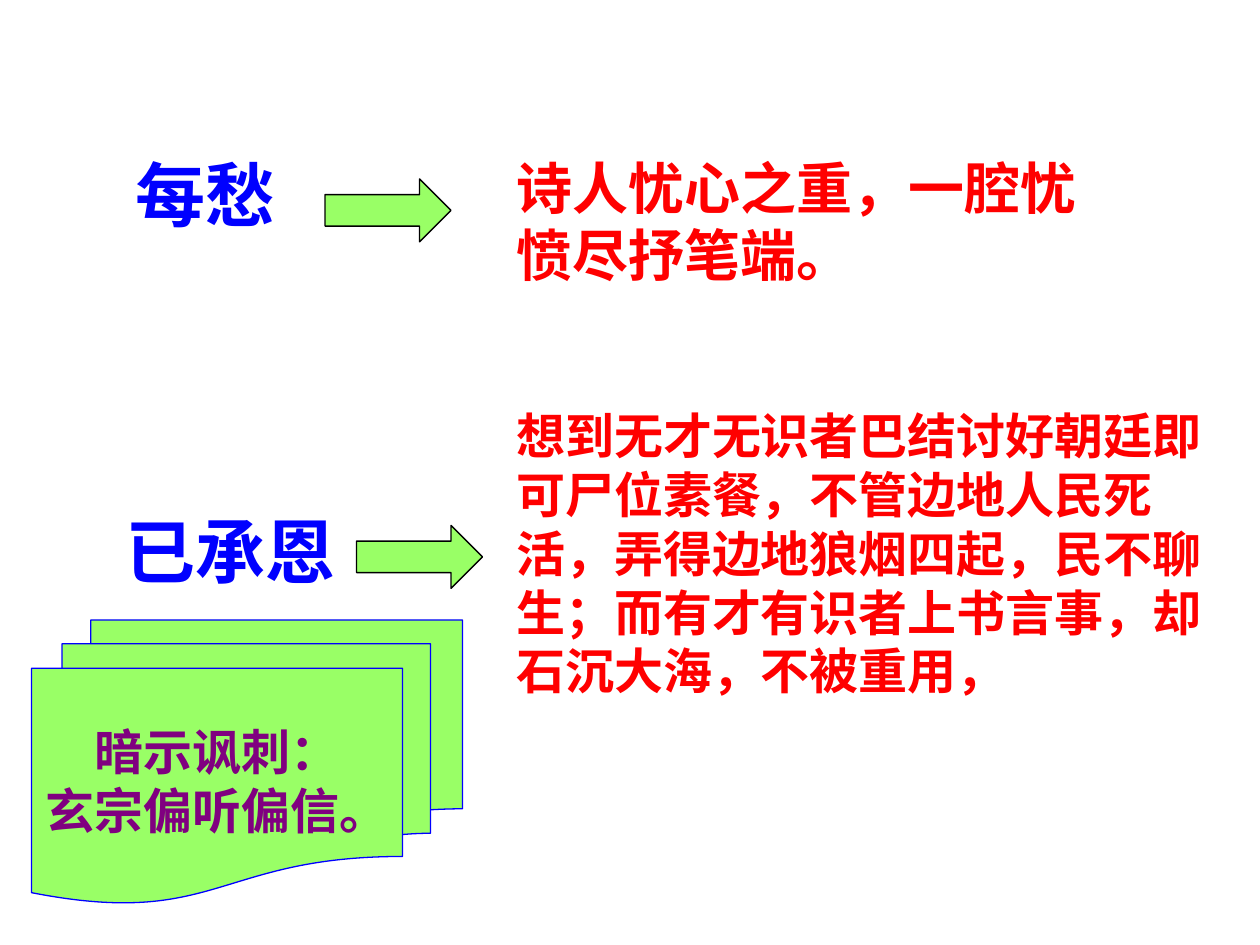
"""Build a slide explaining two phrases of a poem and their implied satire."""
import dataclasses

import lxml.etree
import pptx
import pptx.dml.color
import pptx.enum.shapes
import pptx.enum.text
import pptx.oxml.ns
import pptx.util


@dataclasses.dataclass(frozen=True)
class Theme:
    """Hold the colours, fonts and type sizes of the slide."""
    blue: str = "0000FF"
    red: str = "FF0000"
    purple: str = "800080"
    green: str = "99FF66"
    black: str = "000000"
    latin: str = "Arial"
    chinese: str = "Noto Sans CJK SC"
    term: int = 40
    comment: int = 32
    detail: int = 28


THEME = Theme()
SHAPES = pptx.enum.shapes.MSO_SHAPE
WIDTH, HEIGHT = 10, 7.5
ARROW_WIDTH, ARROW_HEIGHT = 1, 0.5
COMMENT_LEFT = 4

TERMS = [
    ("每愁", (0.98, 1.15, 1.42, 0.77), (2.58, 1.42)),
    ("已承恩", (0.9, 3.99, 2.05, 0.77), (2.83, 4.17)),
]
COMMENTS = [
    (["诗人忧心之重，", "一腔忧愤尽抒笔端。"],
     (COMMENT_LEFT, 1.17, 4.92, 1.88), THEME.comment),
    (["想到无才无识者巴结讨好朝廷即可尸位素餐，不管边地人民死活，"
      "弄得边地狼烟四起，民不聊生；而有才有识者上书言事，却石沉大海，不被重用，"],
     (COMMENT_LEFT, 3.17, 5.67, 2.44), THEME.detail),
]
SATIRE = ["暗示讽刺：", "玄宗偏听偏信。"]
SATIRE_PLACE = (0.25, 4.92, 3.42, 2.25)


def inches(place):
    """Convert a tuple of inches to lengths."""
    return [pptx.util.Inches(value) for value in place]


def rgb(colour):
    """Convert a hexadecimal string to a colour."""
    return pptx.dml.color.RGBColor.from_string(colour)


def add_span(para, text, size, colour):
    """Add one bold run with its Latin and Chinese fonts."""
    span = para.add_run()
    span.text = text
    span.font.size = pptx.util.Pt(size)
    span.font.bold = True
    span.font.color.rgb = rgb(colour)
    span.font.name = THEME.latin
    chinese = lxml.etree.SubElement(
        span.font._element, pptx.oxml.ns.qn("a:ea"))
    chinese.set("typeface", THEME.chinese)


def add_text(page, place, spans, size, colour):
    """Add a wrapping text box whose punctuation stays inside the margin."""
    box = page.shapes.add_textbox(*inches(place))
    box.text_frame.word_wrap = True
    para = box.text_frame.paragraphs[0]
    para._p.get_or_add_pPr().set("hangingPunct", "0")
    for text in spans:
        add_span(para, text, size, colour)


def add_outline_shape(page, kind, place, line_colour):
    """Add a green shape with a thin outline."""
    shape = page.shapes.add_shape(kind, *inches(place))
    shape.shadow.inherit = False
    shape.fill.solid()
    shape.fill.fore_color.rgb = rgb(THEME.green)
    shape.line.color.rgb = rgb(line_colour)
    shape.line.width = pptx.util.Pt(0.75)
    return shape


def add_satire(page):
    """Add the stacked documents with their centred note."""
    stack = add_outline_shape(
        page, SHAPES.FLOWCHART_MULTIDOCUMENT, SATIRE_PLACE, THEME.blue)
    frame = stack.text_frame
    frame.word_wrap = False
    frame.vertical_anchor = pptx.enum.text.MSO_ANCHOR.MIDDLE
    for index, text in enumerate(SATIRE):
        para = frame.add_paragraph() if index else frame.paragraphs[0]
        para.alignment = pptx.enum.text.PP_ALIGN.CENTER
        add_span(para, text, THEME.detail, THEME.purple)


def main():
    """Build and save the deck."""
    deck = pptx.Presentation()
    deck.slide_width, deck.slide_height = inches((WIDTH, HEIGHT))
    page = deck.slides.add_slide(deck.slide_layouts[6])
    for term, place, arrow_corner in TERMS:
        add_text(page, place, [term], THEME.term, THEME.blue)
        add_outline_shape(page, SHAPES.RIGHT_ARROW,
                          (*arrow_corner, ARROW_WIDTH, ARROW_HEIGHT),
                          THEME.black)
    for spans, place, size in COMMENTS:
        add_text(page, place, spans, size, THEME.red)
    add_satire(page)
    deck.save("out.pptx")


if __name__ == "__main__":
    main()
